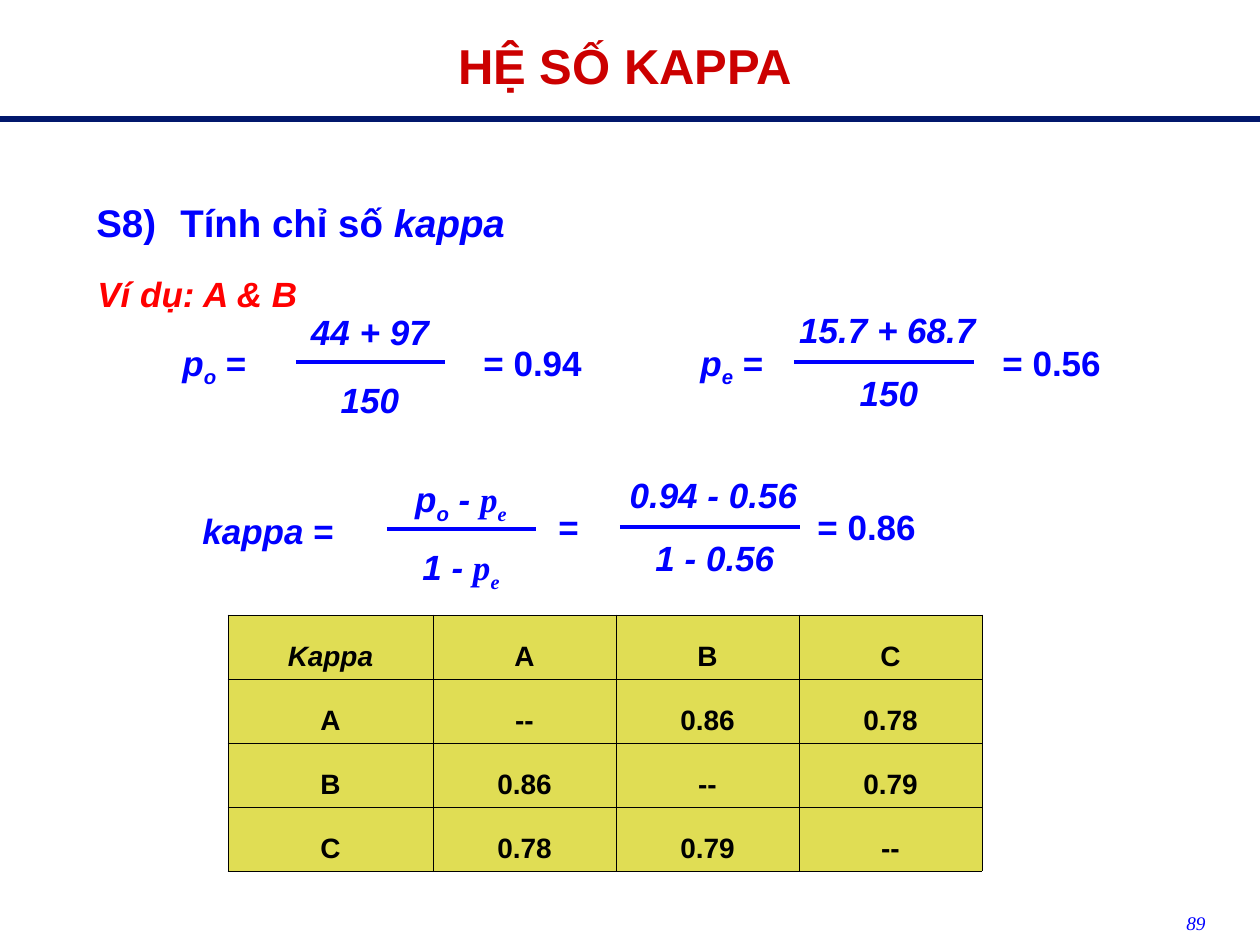
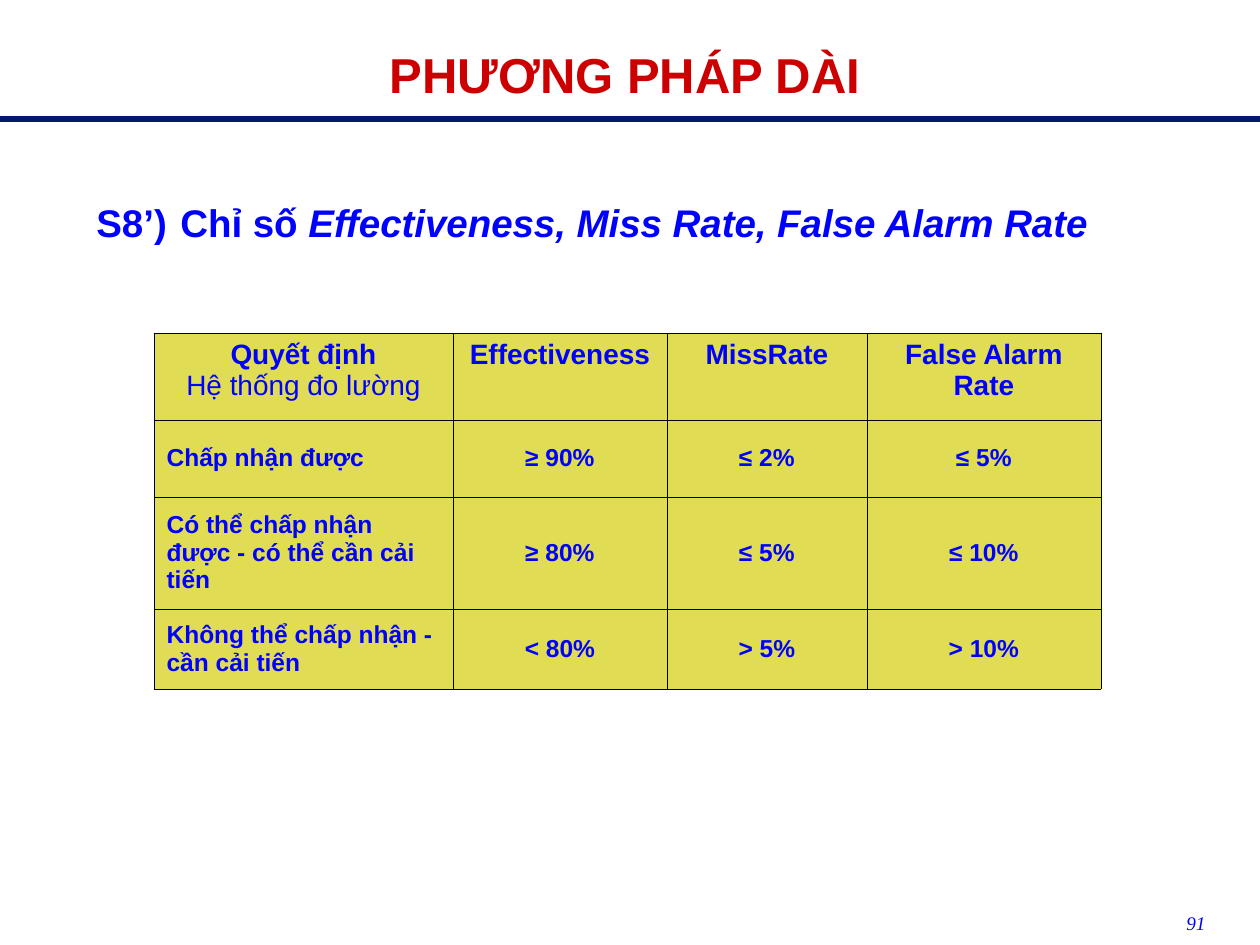
from dataclasses import dataclass

from lxml.etree import SubElement
from pptx import Presentation
from pptx.dml.color import RGBColor
from pptx.enum.shapes import MSO_CONNECTOR
from pptx.enum.text import MSO_ANCHOR, MSO_AUTO_SIZE, PP_ALIGN
from pptx.oxml.ns import qn
from pptx.util import Emu, Pt


@dataclass(frozen=True)
class Theme:
    sans: str = "Arial"
    serif: str = "Times New Roman"
    title: str = "CC0000"
    band: str = "01186C"
    blue: str = "0000FF"
    red: str = "FF0000"
    black: str = "000000"
    cell: str = "E0DD54"
    title_size: int = 28
    step_size: int = 22
    formula_size: int = 20
    table_size: int = 16
    body_size: int = 14
    page_size: int = 11
    band_width: float = 3.5
    bar_width: float = 2.25
    grid_width: float = 0.45


THEME = Theme()
PX_PER_INCH = 126
SLIDE_SIZE = (1260, 945)
LINE_HEIGHT = 55

# A run is (text, marks); marks may hold "italic", "plain", "sub" and "serif".
P_O = [("p", "italic"), ("o", "italic sub")]
P_E = [("p", "italic"), ("e", "italic sub")]
P_E_SERIF = [("p", "italic serif"), ("e", "italic serif sub")]

KAPPA_SLIDE = {
    "title": "HỆ SỐ KAPPA",
    "title_top": 0,
    "step": [("S8)\tTính chỉ số ", ""), ("kappa", "italic")],
    "page": "89",
}
EXAMPLE = [("Ví dụ: A & B", "italic")]
# (left, top, runs)
TERMS = [
    (170, 335, P_O + [(" =", "")]),
    (471, 335, [("= 0.94", "")]),
    (688, 335, P_E + [(" =", "")]),
    (990, 335, [("= 0.56", "")]),
    (190, 503, [("kappa", "italic"), (" =", "")]),
    (546, 499, [("=", "")]),
    (805, 499, [("= 0.86", "")]),
]
# (kind, left of bar, height of bar, numerator, denominator)
FRACTIONS = [
    ("narrow", 296, 362, [("44 + 97", "italic")], [("150", "italic")]),
    ("wide", 794, 362, [("15.7 + 68.7", "italic")], [("150", "italic")]),
    ("narrow", 387, 529, P_O + [(" - ", "italic")] + P_E_SERIF,
     [("1 - ", "italic")] + P_E_SERIF),
    ("wide", 620, 527, [("0.94 - 0.56", "italic")], [("1 - 0.56", "italic")]),
]
# Offsets (dx, dy, width) of each part from the left end of the bar
FRACTION_KINDS = {
    "narrow": {"bar": 149, "numerator": (-21, -58, 190), "denominator": (-21, 10, 190)},
    "wide": {"bar": 180, "numerator": (-15, -60, 217), "denominator": (0, 3, 190)},
}
RATERS = ["A", "B", "C"]
KAPPA = {"AB": "0.86", "AC": "0.78", "BC": "0.79"}

RATE_SLIDE = {
    "title": "PHƯƠNG PHÁP DÀI",
    "title_top": 9,
    "step": [("S8’)\tChỉ số ", ""),
             ("Effectiveness, Miss Rate, False Alarm Rate", "italic")],
    "page": "91",
}
RATE_HEADER = [
    [("Quyết định\n", ""), ("Hệ thống đo lường", "plain")],
    "Effectiveness", "MissRate", "False Alarm Rate",
]
RATE_ROWS = [
    ["Chấp nhận được", "≥ 90%", "≤ 2%", "≤ 5%"],
    ["Có thể chấp nhận được - có thể cần cải tiến", "≥ 80%", "≤ 5%", "≤ 10%"],
    ["Không thể chấp nhận - cần cải tiến", "< 80%", "> 5%", "> 10%"],
]


def px(length):
    return Emu(round(length * 914400 / PX_PER_INCH))


def rgb(color):
    return RGBColor.from_string(color)


def write(frame, content, *, size, color=THEME.blue, font=THEME.sans, bold=True,
          align=PP_ALIGN.LEFT, spacing=None, hanging=0):
    """Fill a text frame with one paragraph from a string or a list of runs."""
    runs = [(content, "")] if isinstance(content, str) else content
    paragraph = frame.paragraphs[0]
    paragraph.alignment = align
    if spacing:
        paragraph.line_spacing = spacing
    if hanging:
        properties = paragraph._p.get_or_add_pPr()
        properties.set("marL", str(px(hanging)))
        properties.set("indent", str(-px(hanging)))
    for text, marks in runs:
        run = paragraph.add_run()
        run.text = text.rstrip("\n")
        run.font.size = Pt(size)
        run.font.name = THEME.serif if "serif" in marks else font
        run.font.bold = bold and "plain" not in marks
        run.font.italic = "italic" in marks
        run.font.color.rgb = rgb(color)
        if "sub" in marks:
            run._r.get_or_add_rPr().set("baseline", "-25000")
        if text.endswith("\n"):
            paragraph.add_line_break()


def add_text(slide, left, top, width, height, content, *, grow=False, **style):
    frame = slide.shapes.add_textbox(px(left), px(top), px(width), px(height)).text_frame
    frame.word_wrap = True
    frame.auto_size = MSO_AUTO_SIZE.SHAPE_TO_FIT_TEXT if grow else MSO_AUTO_SIZE.NONE
    write(frame, content, **style)


def add_rule(slide, left, y, width, color, weight):
    rule = slide.shapes.add_connector(
        MSO_CONNECTOR.STRAIGHT, px(left), px(y), px(left + width), px(y))
    rule.line.color.rgb = rgb(color)
    rule.line.width = Pt(weight)
    SubElement(rule._element.spPr, qn("a:effectLst"))


def add_formula(slide, left, top, width, runs, **style):
    add_text(slide, left, top, width, LINE_HEIGHT, runs, grow=True,
             size=THEME.formula_size, **style)


def add_fraction(slide, kind, left, y, numerator, denominator):
    parts = FRACTION_KINDS[kind]
    add_rule(slide, left, y, parts["bar"], THEME.blue, THEME.bar_width)
    for part, runs in (("numerator", numerator), ("denominator", denominator)):
        dx, dy, width = parts[part]
        add_formula(slide, left + dx, y + dy, width, runs, align=PP_ALIGN.CENTER)


def outline(cell):
    """Draw the four borders, which must come before the fill in the XML."""
    properties = cell._tc.get_or_add_tcPr()
    for side in ("a:lnL", "a:lnR", "a:lnT", "a:lnB"):
        border = SubElement(properties, qn(side), w=str(Pt(THEME.grid_width)))
        fill = SubElement(border, qn("a:solidFill"))
        SubElement(fill, qn("a:srgbClr"), val=THEME.black)


def add_grid(slide, left, top, widths, heights, rows, style_of):
    """Add a table; style_of(row, column) gives the anchor and the text format."""
    table = slide.shapes.add_table(
        len(rows), len(widths), px(left), px(top), px(sum(widths)), px(sum(heights))).table
    table.first_row = table.horz_banding = False
    for column, width in zip(table.columns, widths):
        column.width = px(width)
    for r, (row, height) in enumerate(zip(rows, heights)):
        table.rows[r].height = px(height)
        for c, content in enumerate(row):
            cell = table.cell(r, c)
            outline(cell)
            cell.fill.solid()
            cell.fill.fore_color.rgb = rgb(THEME.cell)
            cell.vertical_anchor, style = style_of(r, c)
            write(cell.text_frame, content, **style)


def kappa_style(row, column):
    return MSO_ANCHOR.BOTTOM, {
        "size": THEME.table_size, "color": THEME.black, "align": PP_ALIGN.CENTER}


def rate_style(row, column):
    if row == 0:
        return MSO_ANCHOR.TOP, {"size": THEME.table_size, "align": PP_ALIGN.CENTER}
    align = PP_ALIGN.CENTER if column else PP_ALIGN.LEFT
    return MSO_ANCHOR.MIDDLE, {"size": THEME.body_size, "align": align}


def kappa_rows():
    header = [[("Kappa", "italic")]] + RATERS
    return [header] + [
        [a] + [KAPPA.get("".join(sorted(a + b)), "--") for b in RATERS] for a in RATERS]


def add_slide(deck, content):
    """Add a slide with the title, step heading, page number and band."""
    slide = deck.slides.add_slide(deck.slide_layouts[6])
    add_text(slide, 0, content["title_top"], 1250, 126, content["title"],
             size=THEME.title_size, color=THEME.title, align=PP_ALIGN.CENTER, spacing=1.5)
    add_text(slide, 84, 181, 1103, 64, content["step"], size=THEME.step_size,
             align=PP_ALIGN.JUSTIFY, spacing=1.25, hanging=84)
    add_text(slide, 924, 905, 294, 32, [(content["page"], "italic")], bold=False,
             size=THEME.page_size, font=THEME.serif, align=PP_ALIGN.RIGHT)
    add_rule(slide, 0, 119, SLIDE_SIZE[0], THEME.band, THEME.band_width)
    return slide


def main():
    deck = Presentation()
    deck.slide_width, deck.slide_height = map(px, SLIDE_SIZE)

    kappa = add_slide(deck, KAPPA_SLIDE)
    add_formula(kappa, 85, 266, 1121, EXAMPLE, color=THEME.red)
    for left, top, runs in TERMS:
        add_formula(kappa, left, top, 159, runs)
    for fraction in FRACTIONS:
        add_fraction(kappa, *fraction)
    add_grid(kappa, 228, 615, [205] + [183] * 3, [64] * 4, kappa_rows(), kappa_style)

    rates = add_slide(deck, RATE_SLIDE)
    add_grid(rates, 154, 333, [299, 214, 200, 234], [87, 77, 112, 80],
             [RATE_HEADER] + RATE_ROWS, rate_style)

    deck.save("out.pptx")


if __name__ == "__main__":
    main()
